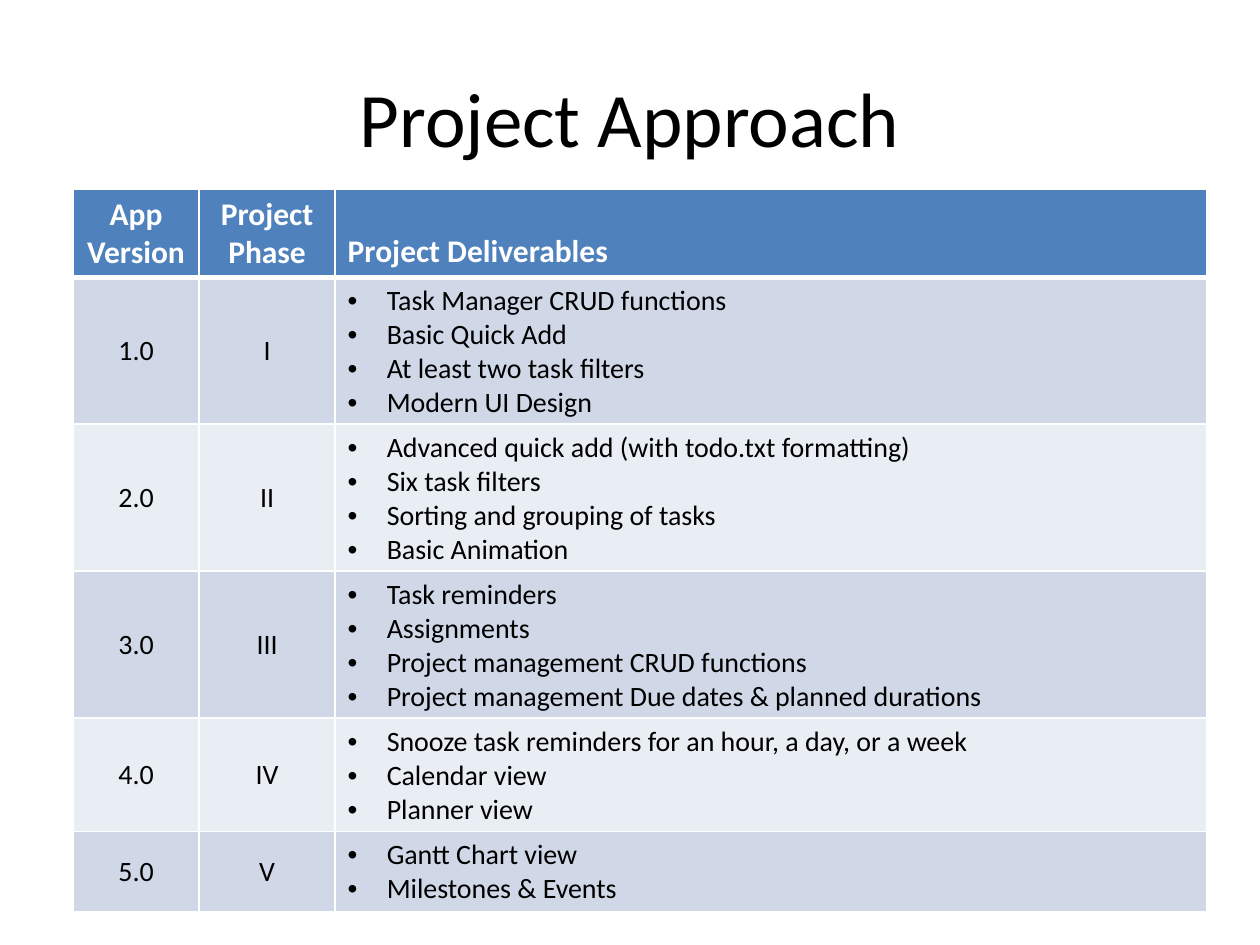
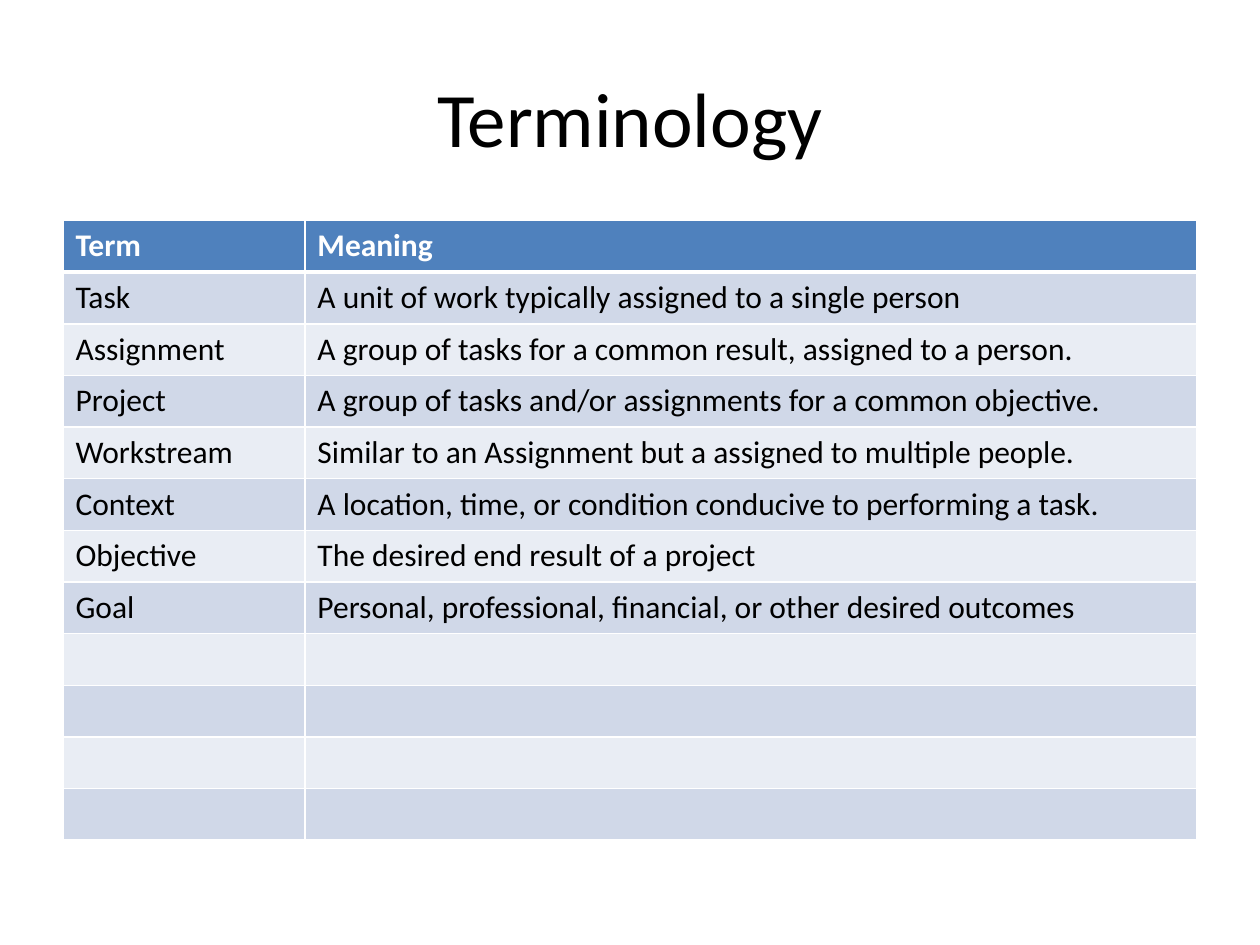
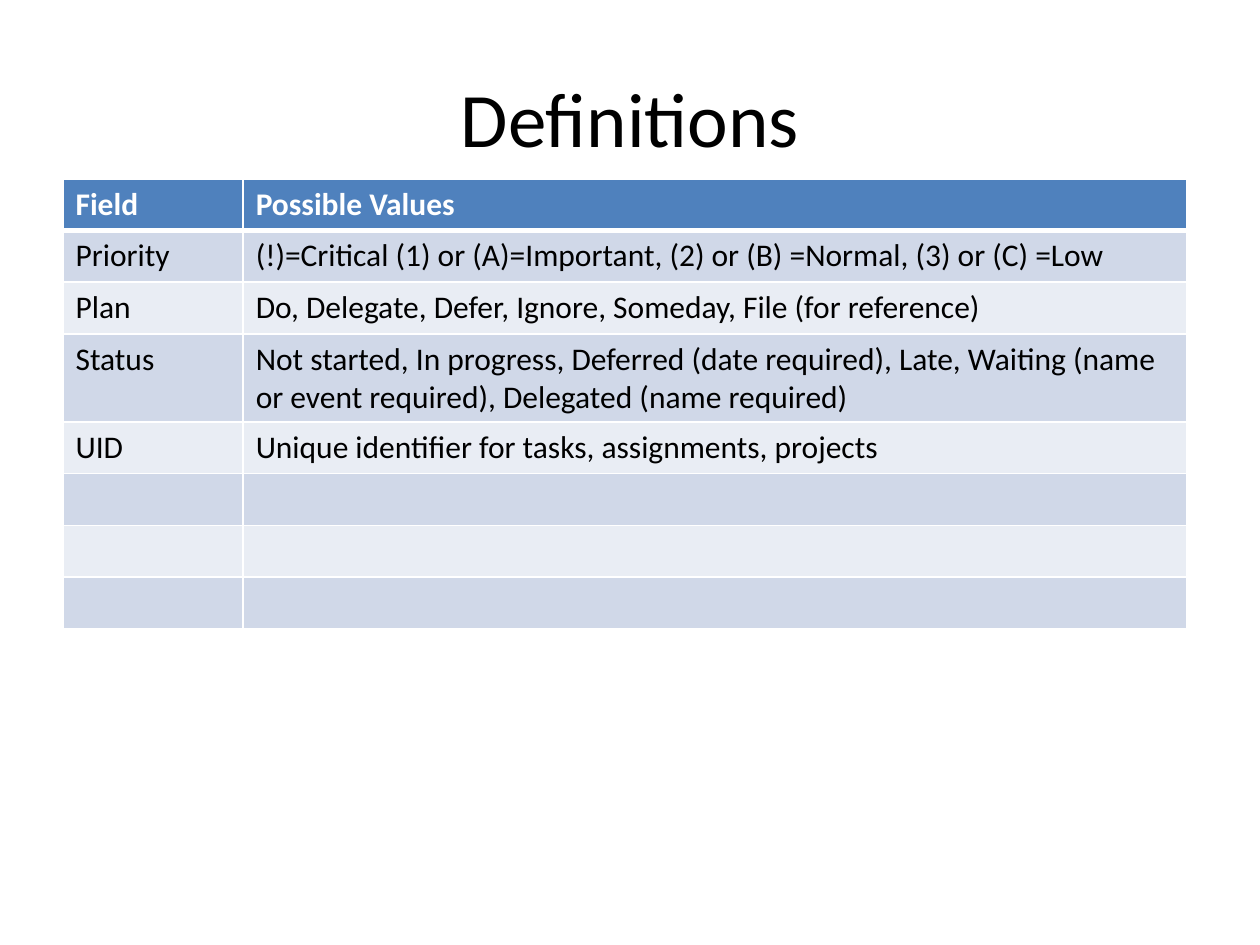
import pptx
import pptx.util
import pptx.dml.color
import pptx.enum.text
import pptx.oxml.ns
from lxml import etree

Inches = pptx.util.Inches
Pt = pptx.util.Pt
ALIGN = pptx.enum.text.PP_ALIGN
ANCHOR = pptx.enum.text.MSO_ANCHOR

BLACK = pptx.dml.color.RGBColor(0x00, 0x00, 0x00)
WHITE = pptx.dml.color.RGBColor(0xFF, 0xFF, 0xFF)
HEADER_BLUE = pptx.dml.color.RGBColor(0x4F, 0x81, 0xBD)
BAND_DARK = pptx.dml.color.RGBColor(0xD0, 0xD8, 0xE8)
BAND_LIGHT = pptx.dml.color.RGBColor(0xE9, 0xED, 0xF4)

# Slide content
DELIVERABLES = [
    ["App Version", "Project Phase", "Project Deliverables"],
    ["1.0", "I", ["Task Manager CRUD functions", "Basic Quick Add",
                  "At least two task filters", "Modern UI Design"]],
    ["2.0", "II", ["Advanced quick add (with todo.txt formatting)",
                   "Six task filters", "Sorting and grouping of tasks",
                   "Basic Animation"]],
    ["3.0", "III", ["Task reminders", "Assignments",
                    "Project management CRUD functions",
                    "Project management Due dates & planned durations"]],
    ["4.0", "IV", ["Snooze task reminders for an hour, a day, or a week",
                   "Calendar view", "Planner view"]],
    ["5.0", "V", ["Gantt Chart view", "Milestones & Events"]],
]
TERMS = [
    ["Term", "Meaning"],
    ["Task", "A unit of work typically assigned to a single person"],
    ["Assignment", "A group of tasks for a common result, assigned to a person."],
    ["Project", "A group of tasks and/or assignments for a common objective."],
    ["Workstream", "Similar to an Assignment but a assigned to multiple people."],
    ["Context", "A location, time, or condition conducive to performing a task."],
    ["Objective", "The desired end result of a project"],
    ["Goal", "Personal, professional, financial, or other desired outcomes"],
] + [["", ""]] * 4
FIELDS = [
    ["Field", "Possible Values"],
    ["Priority", "(!)=Critical (1) or (A)=Important, (2) or (B) =Normal, (3) or (C) =Low"],
    ["Plan", "Do, Delegate, Defer, Ignore, Someday, File (for reference)"],
    ["Status", "Not started, In progress, Deferred (date required), Late, "
               "Waiting (name or event required), Delegated (name required)"],
    ["UID", "Unique identifier for tasks, assignments, projects"],
] + [["", ""]] * 3


class Deck:
    font = "Calibri"
    title_size = 44
    header_size = 18
    row_height = 0.41
    bullet_indent = 0.31

    def __init__(self):
        self.prs = pptx.Presentation()
        self.prs.slide_width = Inches(10)
        self.prs.slide_height = Inches(7.5)
        self.s = None

    def slide(self, title):
        self.s = self.prs.slides.add_slide(self.prs.slide_layouts[6])
        sp = self.s.shapes.add_textbox(Inches(0.5), Inches(0.3), Inches(9), Inches(1.25))
        tf = sp.text_frame
        tf.word_wrap = True
        tf.vertical_anchor = ANCHOR.MIDDLE
        p = tf.paragraphs[0]
        p.alignment = ALIGN.CENTER
        self.run(p, title, self.title_size)

    def run(self, p, text, size, color=BLACK, bold=False):
        r = p.add_run()
        r.text = text
        r.font.name = self.font
        r.font.size = Pt(size)
        r.font.color.rgb = color
        r.font.bold = bold

    def bullet(self, p):
        pPr = p._p.get_or_add_pPr()
        pPr.set("marL", str(Inches(self.bullet_indent)))
        pPr.set("indent", str(-Inches(self.bullet_indent)))
        etree.SubElement(pPr, pptx.oxml.ns.qn("a:buFont"), typeface="Arial")
        etree.SubElement(pPr, pptx.oxml.ns.qn("a:buChar"), char="•")

    def borders(self, cell, top, bottom):
        tcPr = cell._tc.get_or_add_tcPr()
        for side, width in (("L", 1), ("R", 1), ("T", top), ("B", bottom)):
            ln = etree.SubElement(tcPr, pptx.oxml.ns.qn("a:ln" + side), w=str(Pt(width)))
            fill = etree.SubElement(ln, pptx.oxml.ns.qn("a:solidFill"))
            etree.SubElement(fill, pptx.oxml.ns.qn("a:srgbClr"), val=str(WHITE))

    def cell(self, cell, content, row, size, align, anchor):
        header = row == 0
        # The rule under the header is shared with the first body row
        self.borders(cell, top=3 if row == 1 else 1, bottom=3 if header else 1)
        cell.fill.solid()
        cell.fill.fore_color.rgb = (
            HEADER_BLUE if header else BAND_DARK if row % 2 else BAND_LIGHT)
        cell.vertical_anchor = anchor
        bulleted = isinstance(content, list)
        tf = cell.text_frame
        for i, text in enumerate(content if bulleted else [content]):
            p = tf.paragraphs[0] if i == 0 else tf.add_paragraph()
            p.alignment = align
            if bulleted:
                self.bullet(p)
            if text:
                self.run(p, text, self.header_size if header else size,
                         WHITE if header else BLACK, header)

    def table(self, rows, left, top, height, widths, size=18,
              centred_cols=0, header_anchor=ANCHOR.TOP):
        frame = self.s.shapes.add_table(len(rows), len(widths), Inches(left), Inches(top),
                                        Inches(sum(widths)), Inches(height))
        tbl = frame.table
        tbl.first_row = tbl.horz_banding = False
        for col, width in zip(tbl.columns, widths):
            col.width = Inches(width)
        for i, row in enumerate(rows):
            tbl.rows[i].height = Inches(self.row_height)
            for j, content in enumerate(row):
                centred = j < centred_cols
                anchor = (header_anchor if i == 0 else
                          ANCHOR.MIDDLE if centred else ANCHOR.TOP)
                self.cell(tbl.cell(i, j), content, i, size,
                          ALIGN.CENTER if centred else ALIGN.LEFT, anchor)
        frame.height = Inches(height)


def main():
    deck = Deck()

    # Phases and their deliverables
    deck.slide("Project Approach")
    deck.table(DELIVERABLES, 0.58, 1.5, 5.73, [1, 1.08, 6.92], size=16,
               centred_cols=2, header_anchor=ANCHOR.BOTTOM)

    # Glossary
    deck.slide("Terminology")
    deck.table(TERMS, 0.5, 1.75, 4.87, [1.92, 7.08])

    # Field values
    deck.slide("Definitions")
    deck.table(FIELDS, 0.5, 1.42, 3.54, [1.43, 7.49])

    deck.prs.save("out.pptx")


if __name__ == "__main__":
    main()
